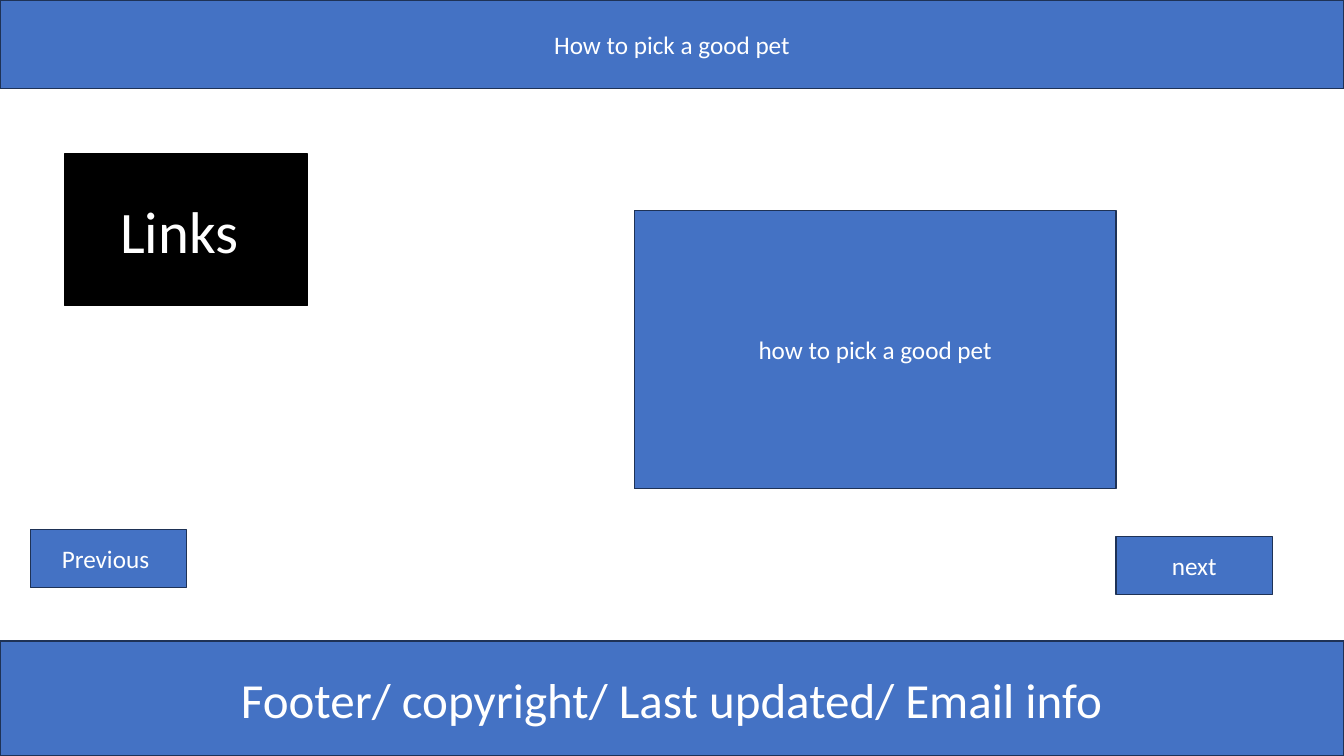
import pptx
import pptx.dml.color
import pptx.enum.shapes
import pptx.enum.text
import pptx.util

WIDTH, HEIGHT = 13.33, 7.5
BLUE, NAVY, BLACK, WHITE = "4472C4", "1E3256", "000000", "FFFFFF"


def color(hex_code):
    return pptx.dml.color.RGBColor.from_string(hex_code)


def write_box(text, left, top, width, height, size=18, fill=BLUE, line=NAVY, box=None):
    """Place a filled box with centred text; box may be an existing placeholder."""
    area = [pptx.util.Inches(length) for length in (left, top, width, height)]
    if box is None:
        box = slide.shapes.add_shape(pptx.enum.shapes.MSO_SHAPE.RECTANGLE, *area)
        box.shadow.inherit = False
    else:
        box.left, box.top, box.width, box.height = area
    box.fill.solid()
    box.fill.fore_color.rgb = color(fill)
    box.line.color.rgb = color(line)
    box.line.width = pptx.util.Pt(1)

    frame = box.text_frame
    frame.text = text
    frame.word_wrap = True
    frame.auto_size = pptx.enum.text.MSO_AUTO_SIZE.NONE
    frame.vertical_anchor = pptx.enum.text.MSO_ANCHOR.MIDDLE
    paragraph = frame.paragraphs[0]
    paragraph.alignment = pptx.enum.text.PP_ALIGN.CENTER
    font = paragraph.runs[0].font
    font.name = "Calibri"
    font.size = pptx.util.Pt(size)
    font.color.rgb = color(WHITE)


# Slide with only a title placeholder
deck = pptx.Presentation()
deck.slide_width = pptx.util.Inches(WIDTH)
deck.slide_height = pptx.util.Inches(HEIGHT)
slide = deck.slides.add_slide(deck.slide_layouts[5])

# Header and footer bands across the full width
footer_height = 1.14
write_box("How to pick a good pet", 0, 0, WIDTH, 0.88, box=slide.shapes.title)
write_box("Footer/ copyright/ Last updated/ Email info",
          0, HEIGHT - footer_height, WIDTH, footer_height, size=35)

# Links panel and main content
content_left, content_width = 6.29, 4.78
write_box("Links ", 0.64, 1.53, 2.41, 1.5, size=42, fill=BLACK, line=BLACK)
write_box("how to pick a good pet", content_left, 2.09, content_width, 2.76)

# Navigation buttons; "next" starts where the content ends
for label, left, top in (("next", content_left + content_width, 5.32),
                         ("Previous ", 0.3, 5.25)):
    write_box(label, left, top, 1.55, 0.58)

deck.save("out.pptx")
